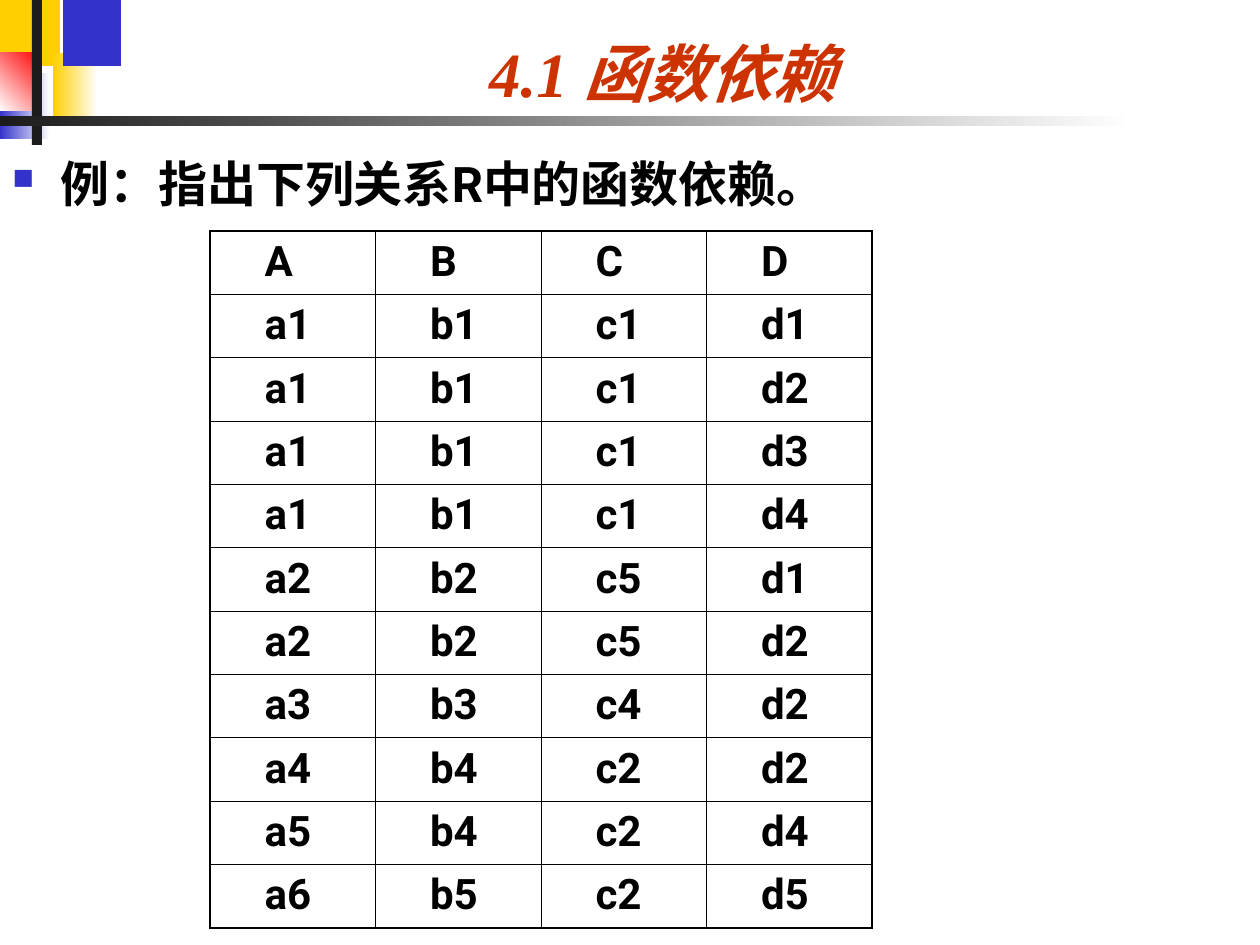
from lxml.etree import SubElement
from pptx import Presentation
from pptx.dml.color import RGBColor
from pptx.enum.shapes import MSO_SHAPE
from pptx.enum.text import MSO_ANCHOR, PP_ALIGN
from pptx.oxml.ns import qn
from pptx.util import Emu, Pt

PX_PER_INCH = 126

WHITE = RGBColor(0xFF, 0xFF, 0xFF)
BLACK = RGBColor(0x00, 0x00, 0x00)
CHARCOAL = RGBColor(0x1C, 0x1C, 0x1C)
YELLOW = RGBColor(0xFF, 0xCF, 0x01)
BLUE = RGBColor(0x33, 0x33, 0xCC)
RED = RGBColor(0xFF, 0x00, 0x00)
TITLE_RED = RGBColor(0xCC, 0x33, 0x00)

THIN, THICK = Pt(0.45), Pt(1.08)

# Box in px, start colour, end colour (None for a plain fill), gradient angle
DECORATIONS = [
    ((0, 0, 60, 66), YELLOW, None, 0),
    ((53, 53, 45, 66), YELLOW, WHITE, 0),
    ((63, 0, 58, 66), BLUE, None, 0),
    ((0, 73, 50, 66), BLUE, WHITE, 0),
    ((0, 53, 42, 58), WHITE, RED, 45),
    ((32, 0, 10, 145), CHARCOAL, None, 0),
    ((0, 116, 1134, 10), CHARCOAL, WHITE, 0),
]

RELATION = [
    "A B C D",
    "a1 b1 c1 d1",
    "a1 b1 c1 d2",
    "a1 b1 c1 d3",
    "a1 b1 c1 d4",
    "a2 b2 c5 d1",
    "a2 b2 c5 d2",
    "a3 b3 c4 d2",
    "a4 b4 c2 d2",
    "a5 b4 c2 d4",
    "a6 b5 c2 d5",
]


def px(length):
    return Emu(round(length * 914400 / PX_PER_INCH))


def add_block(slide, box, color, end_color, angle):
    shape = slide.shapes.add_shape(MSO_SHAPE.RECTANGLE, *map(px, box))
    shape.shadow.inherit = False
    shape.line.fill.background()
    if end_color is None:
        shape.fill.solid()
        shape.fill.fore_color.rgb = color
    else:
        shape.fill.gradient()
        shape.fill.gradient_angle = angle
        for stop, stop_color in zip(shape.fill.gradient_stops, (color, end_color)):
            stop.color.rgb = stop_color


def add_text(slide, box, text, anchor=MSO_ANCHOR.TOP):
    frame = slide.shapes.add_textbox(*map(px, box)).text_frame
    frame.word_wrap = True
    frame.vertical_anchor = anchor
    paragraph = frame.paragraphs[0]
    paragraph.text = text
    return paragraph


def set_font(paragraph, name, size, color, italic=False):
    font = paragraph.font
    font.name, font.size = name, Pt(size)
    font.bold, font.italic = True, italic
    font.color.rgb = color


def set_indent(paragraph, left, first=0):
    properties = paragraph._p.get_or_add_pPr()
    properties.set("marL", str(px(left)))
    properties.set("indent", str(px(first)))
    return properties


def add_bullet(paragraph, color):
    properties = set_indent(paragraph, 48, -48)
    bullet_color = SubElement(properties, qn("a:buClr"))
    SubElement(bullet_color, qn("a:srgbClr"), val=str(color))
    SubElement(properties, qn("a:buSzPct"), val="60000")
    SubElement(properties, qn("a:buChar"), char="■")


def set_borders(cell, widths):
    properties = cell._tc.get_or_add_tcPr()
    for side, width in zip("LRTB", widths):
        line = SubElement(properties, qn(f"a:ln{side}"), w=str(width))
        fill = SubElement(line, qn("a:solidFill"))
        SubElement(fill, qn("a:srgbClr"), val=str(BLACK))


def add_relation_table(slide, box, lines):
    rows = [line.split() for line in lines]
    last_row, last_column = len(rows) - 1, len(rows[0]) - 1
    table = slide.shapes.add_table(len(rows), len(rows[0]), *map(px, box)).table
    table.first_row = table.horz_banding = False
    for i, values in enumerate(rows):
        for j, value in enumerate(values):
            cell = table.cell(i, j)
            # Thick lines run round the outside only
            outer = (j == 0, j == last_column, i == 0, i == last_row)
            set_borders(cell, [THICK if edge else THIN for edge in outer])
            cell.fill.background()
            paragraph = cell.text_frame.paragraphs[0]
            paragraph.text = value
            set_indent(paragraph, 42)
            set_font(paragraph, "Roboto", 24, BLACK)


def main():
    presentation = Presentation()
    presentation.slide_width, presentation.slide_height = px(1260), px(945)
    slide = presentation.slides.add_slide(presentation.slide_layouts[6])

    # Corner blocks and bars
    for decoration in DECORATIONS:
        add_block(slide, *decoration)

    # Title
    title = add_text(slide, (159, 0, 1007, 116), "4.1 函数依赖", MSO_ANCHOR.BOTTOM)
    title.alignment = PP_ALIGN.CENTER
    set_font(title, "Times New Roman", 36, TITLE_RED, italic=True)

    # Question
    question = add_text(slide, (0, 147, 1229, 73), "例：指出下列关系R中的函数依赖。")
    add_bullet(question, BLUE)
    set_font(question, "Roboto", 28, BLACK)

    # Relation R
    add_relation_table(slide, (210, 231, 662, 697), RELATION)

    presentation.save("out.pptx")


if __name__ == "__main__":
    main()
